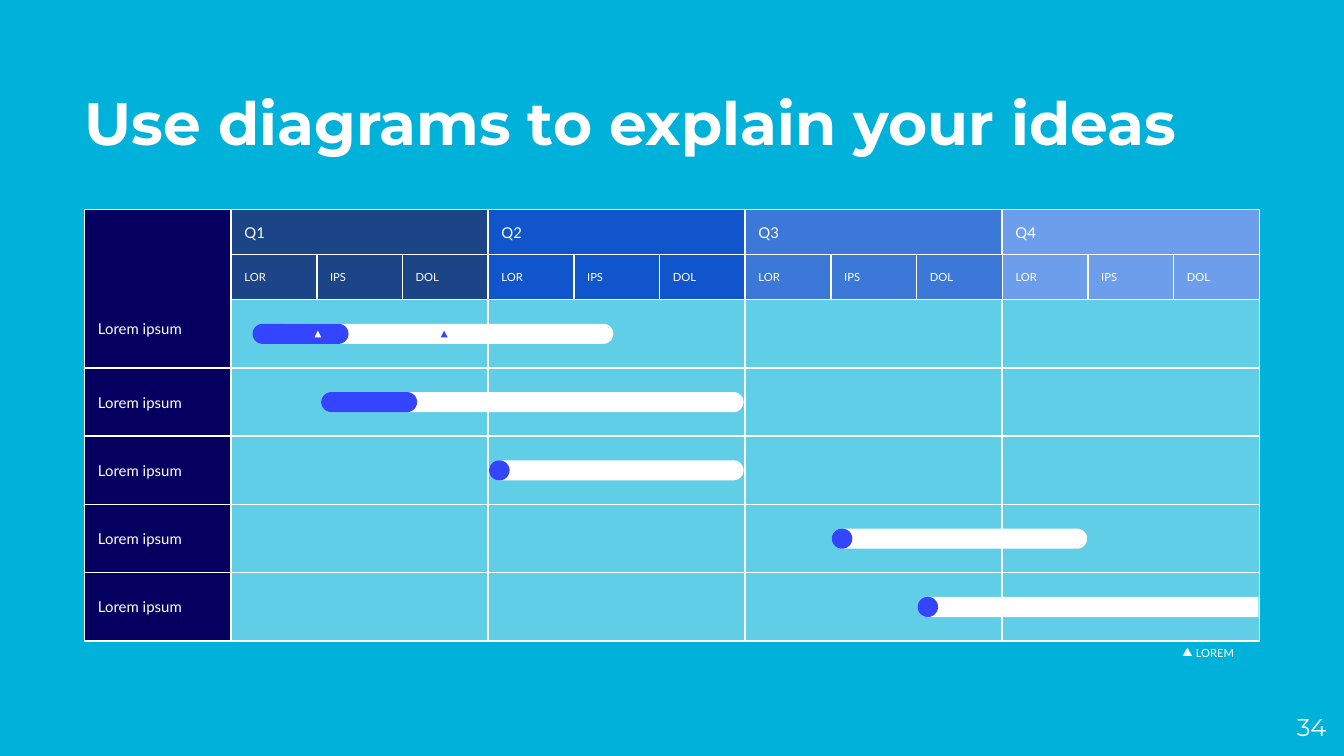
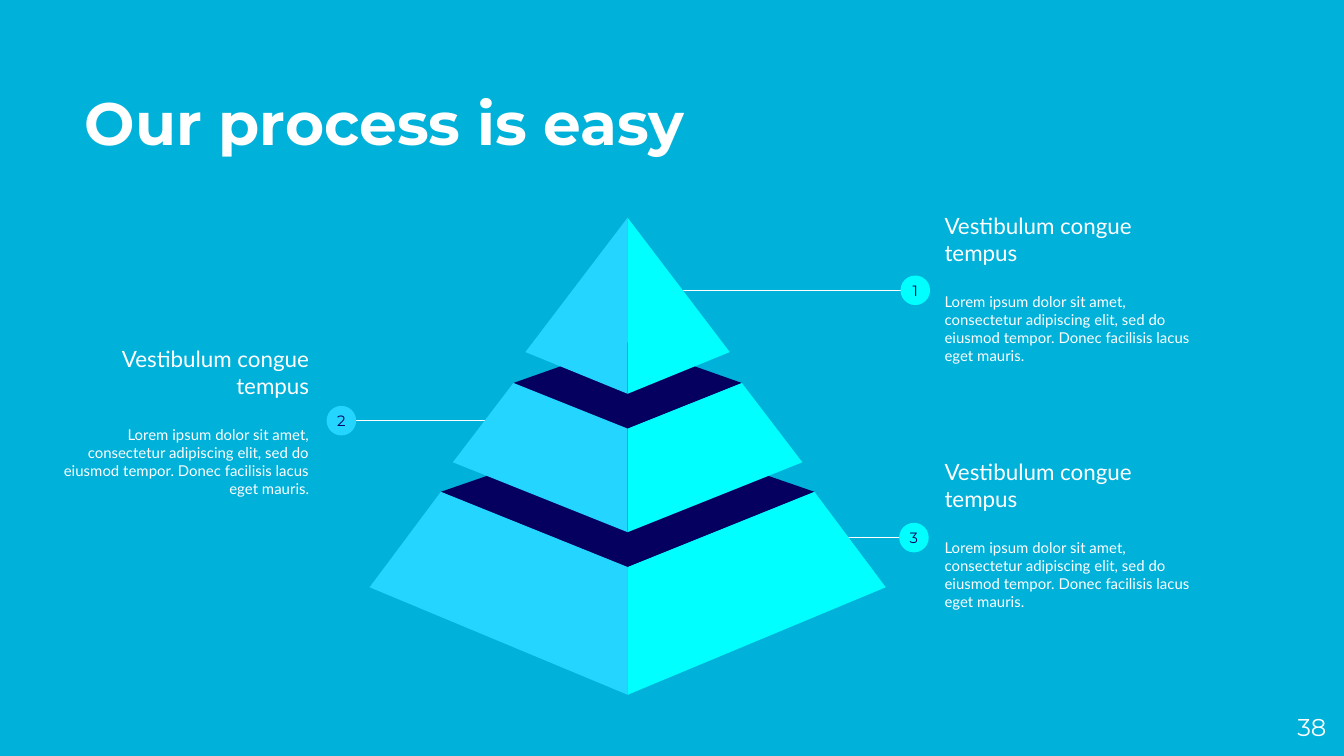
import pptx
import pptx.util
import pptx.dml.color
import pptx.enum.shapes
import pptx.enum.text
import pptx.oxml
import pptx.oxml.ns

Inches = pptx.util.Inches
Pt = pptx.util.Pt
RGB = pptx.dml.color.RGBColor.from_string
Shape = pptx.enum.shapes.MSO_SHAPE
Anchor = pptx.enum.text.MSO_ANCHOR
Align = pptx.enum.text.PP_ALIGN

COLORS = {
    "background": "00B1DA", "white": "FFFFFF", "navy": "050060",
    "progress": "3544FF", "sky": "24D6FF", "cyan": "00FFFF",
    "Q1": "1C4587", "Q2": "1155CC", "Q3": "3C78D8", "Q4": "6D9EEB",
}
HEADING_FONT, BODY_FONT = "Montserrat", "Lato"
WIDTH = 10
HEIGHT = WIDTH * 9 / 16
LEFT, RIGHT = 0.63, 9.37


def paint(shape, fill, line=None, opacity=None):
    """Give a shape a flat fill, an optional thin outline and no shadow."""
    shape.shadow.inherit = False
    shape.fill.solid()
    shape.fill.fore_color.rgb = RGB(COLORS[fill])
    if opacity:
        color = shape.fill._xPr.find(".//" + pptx.oxml.ns.qn("a:srgbClr"))
        alpha = pptx.oxml.parse_xml(
            f'<a:alpha {pptx.oxml.ns.nsdecls("a")} val="{opacity * 1000}"/>')
        color.append(alpha)
    if line:
        shape.line.color.rgb = RGB(COLORS[line])
        shape.line.width = Pt(0.75)
    else:
        shape.line.fill.background()


def write(shape, lines, font=BODY_FONT, color="white", align=Align.LEFT,
          anchor=Anchor.MIDDLE, inset=0.1, bold=False):
    """Fill a shape with (text, size) lines in one style."""
    frame = shape.text_frame
    frame.text = "\n".join(text for text, size in lines)
    frame.word_wrap = True
    frame.auto_size = pptx.enum.text.MSO_AUTO_SIZE.NONE
    frame.vertical_anchor = anchor
    frame.margin_left = frame.margin_right = Inches(inset)
    frame.margin_top = frame.margin_bottom = Inches(inset)
    for paragraph, (text, size) in zip(frame.paragraphs, lines):
        paragraph.alignment = align
        for run in paragraph.runs:
            run.font.name = font
            run.font.size = Pt(size)
            run.font.bold = bold
            run.font.color.rgb = RGB(COLORS[color])


prs = pptx.Presentation()
prs.slide_width, prs.slide_height = Inches(WIDTH), Inches(HEIGHT)
backdrop = prs.slide_master.background.fill
backdrop.solid()
backdrop.fore_color.rgb = RGB(COLORS["background"])

for heading, heading_width, number in [
        ("Use diagrams to explain your ideas", RIGHT - LEFT, "34"),
        ("Our process is easy", 6.58, "38")]:
    slide = prs.slides.add_slide(prs.slide_layouts[5])
    title = slide.shapes.title
    title.left, title.top = Inches(LEFT), Inches(0.23)
    title.width, title.height = Inches(heading_width), Inches(0.94)
    write(title, [(heading, 32)], HEADING_FONT, anchor=Anchor.BOTTOM, inset=0, bold=True)
    page_number = slide.shapes.add_textbox(*map(Inches, (9.27, 5.19, 0.6, 0.43)))
    write(page_number, [(number, 13)], HEADING_FONT, align=Align.RIGHT, inset=0)

# Gantt diagram: four quarters of three months, five task rows
gantt = prs.slides[0].shapes
GRID_X, HEADER_Y, GRID_Y, GRID_BOTTOM = 1.72, 1.56, 2.23, 4.77
TASKS = 5
quarter_width = (RIGHT - GRID_X) / 4
month_width = quarter_width / 3
header_height = (GRID_Y - HEADER_Y) / 2
row_height = (GRID_BOTTOM - GRID_Y) / TASKS

for column, quarter in enumerate(["Q1", "Q2", "Q3", "Q4"]):
    x = GRID_X + column * quarter_width
    for row in range(TASKS):
        cell = gantt.add_shape(Shape.RECTANGLE, *map(Inches, (
            x, GRID_Y + row * row_height, quarter_width, row_height)))
        paint(cell, "white", "white", opacity=38)
    quarter_head = gantt.add_shape(Shape.RECTANGLE, *map(Inches, (
        x, HEADER_Y, quarter_width, header_height)))
    paint(quarter_head, quarter, "white")
    write(quarter_head, [(quarter, 8)])
    for index, month in enumerate(["LOR", "IPS", "DOL"]):
        month_head = gantt.add_shape(Shape.RECTANGLE, *map(Inches, (
            x + index * month_width, HEADER_Y + header_height, month_width, header_height)))
        paint(month_head, quarter, "white")
        write(month_head, [(month, 6)])

for row in range(TASKS):
    top = HEADER_Y if row == 0 else GRID_Y + row * row_height
    bottom = GRID_Y + (row + 1) * row_height
    task = gantt.add_shape(Shape.RECTANGLE, *map(Inches, (
        LEFT, top, GRID_X - LEFT, bottom - top)))
    paint(task, "navy", "white")
    write(task, [("Lorem ipsum", 8)], anchor=Anchor.MIDDLE if row else Anchor.BOTTOM)
    if row == 0:
        task.text_frame.margin_bottom = Inches(0.23)

# Row, first month, length in months, colour, rounding of the right end
BAR_HEIGHT = 0.15
for row, start, months, color, right_end in [
        (0, 0.49, 3.97, "white", 0.5), (0, 0.25, 1.12, "progress", 0.5),
        (1, 1.05, 4.93, "white", 0.5), (1, 1.05, 1.12, "progress", 0.5),
        (2, 3.01, 2.97, "white", 0.5), (2, 3.01, 0.24, "progress", 0.5),
        (3, 7.01, 2.98, "white", 0.5), (3, 7.01, 0.24, "progress", 0.5),
        (4, 8.01, 3.98, "white", 0), (4, 8.01, 0.24, "progress", 0.5)]:
    length = months * month_width
    center_x = GRID_X + start * month_width + length / 2
    center_y = GRID_Y + (row + 0.5) * row_height
    bar = gantt.add_shape(Shape.ROUND_2_SAME_RECTANGLE, *map(Inches, (
        center_x - BAR_HEIGHT / 2, center_y - length / 2, BAR_HEIGHT, length)))
    bar.rotation = 90
    bar.adjustments[0], bar.adjustments[1] = right_end, 0.5
    paint(bar, color)

for x, y, width, height, color in [
        (2.34, 2.46, 0.05, 0.05, "white"),
        (3.28, 2.46, 0.05, 0.05, "progress"),
        (8.8, 4.82, 0.07, 0.06, "white")]:
    milestone = gantt.add_shape(Shape.ISOSCELES_TRIANGLE, *map(Inches, (x, y, width, height)))
    paint(milestone, color)
legend = gantt.add_textbox(*map(Inches, (8.8, 4.8, 0.56, 0.11)))
write(legend, [("LOREM", 6)])

# Pyramid with three numbered callouts
process = prs.slides[1].shapes
STEP_HEADING = "Vestibulum congue tempus"
STEP_BODY = ("Lorem ipsum dolor sit amet, consectetur adipiscing elit, sed do "
             "eiusmod tempor. Donec facilisis lacus eget mauris.")
BADGE = 0.22
for step, badge_x, y, pyramid_x, text_x, text_y, color, align in [
        ("3", 6.8, 4.0, 6.27, 6.93, 3.22, "cyan", Align.LEFT),
        ("2", 2.54, 3.13, 3.64, 0.36, 2.38, "sky", Align.RIGHT),
        ("1", 6.81, 2.16, 5.03, 6.93, 1.39, "cyan", Align.LEFT)]:
    leader = process.add_connector(pptx.enum.shapes.MSO_CONNECTOR.STRAIGHT,
                                   *map(Inches, (pyramid_x, y, badge_x, y)))
    leader.line.color.rgb = RGB(COLORS["white"])
    leader.line.width = Pt(0.75)
    leader._element.spPr.append(pptx.oxml.parse_xml(
        f'<a:effectLst {pptx.oxml.ns.nsdecls("a")}/>'))
    description = process.add_textbox(*map(Inches, (text_x, text_y, 2.04, 1.51)))
    write(description, [(STEP_HEADING, 12), (STEP_BODY, 8)], align=align)
    description.text_frame.paragraphs[1].space_before = Pt(14.4)
    badge = process.add_shape(Shape.OVAL, *map(Inches, (
        badge_x - BADGE / 2, y - BADGE / 2, BADGE, BADGE)))
    paint(badge, color)
    write(badge, [(step, 8)], HEADING_FONT, "navy", Align.CENTER, inset=0)

# Each tier: half-widths of roof and base, and the heights of their corners
AXIS = 4.67
for roof, back_y, roof_y, front_y, base, base_y, tip_y in [
        (1.39, 3.18, 3.66, 4.22, 1.92, 4.37, 5.17),
        (0.85, 2.55, 2.85, 3.19, 1.3, 3.44, 3.96),
        (0, 1.62, 1.62, 1.62, 0.76, 2.62, 2.93)]:
    face = [(roof, roof_y), (base, base_y), (0, tip_y), (0, front_y)]
    outlines = [("sky", [(-x, y) for x, y in face]), ("cyan", face)]
    if roof:
        outlines.insert(0, ("navy", [(-roof, roof_y), (0, front_y), (roof, roof_y), (0, back_y)]))
    for color, corners in outlines:
        points = [(Inches(AXIS + x), Inches(y)) for x, y in corners]
        builder = process.build_freeform(*points[0])
        builder.add_line_segments(points[1:], close=True)
        paint(builder.convert_to_shape(), color)

prs.save("out.pptx")
